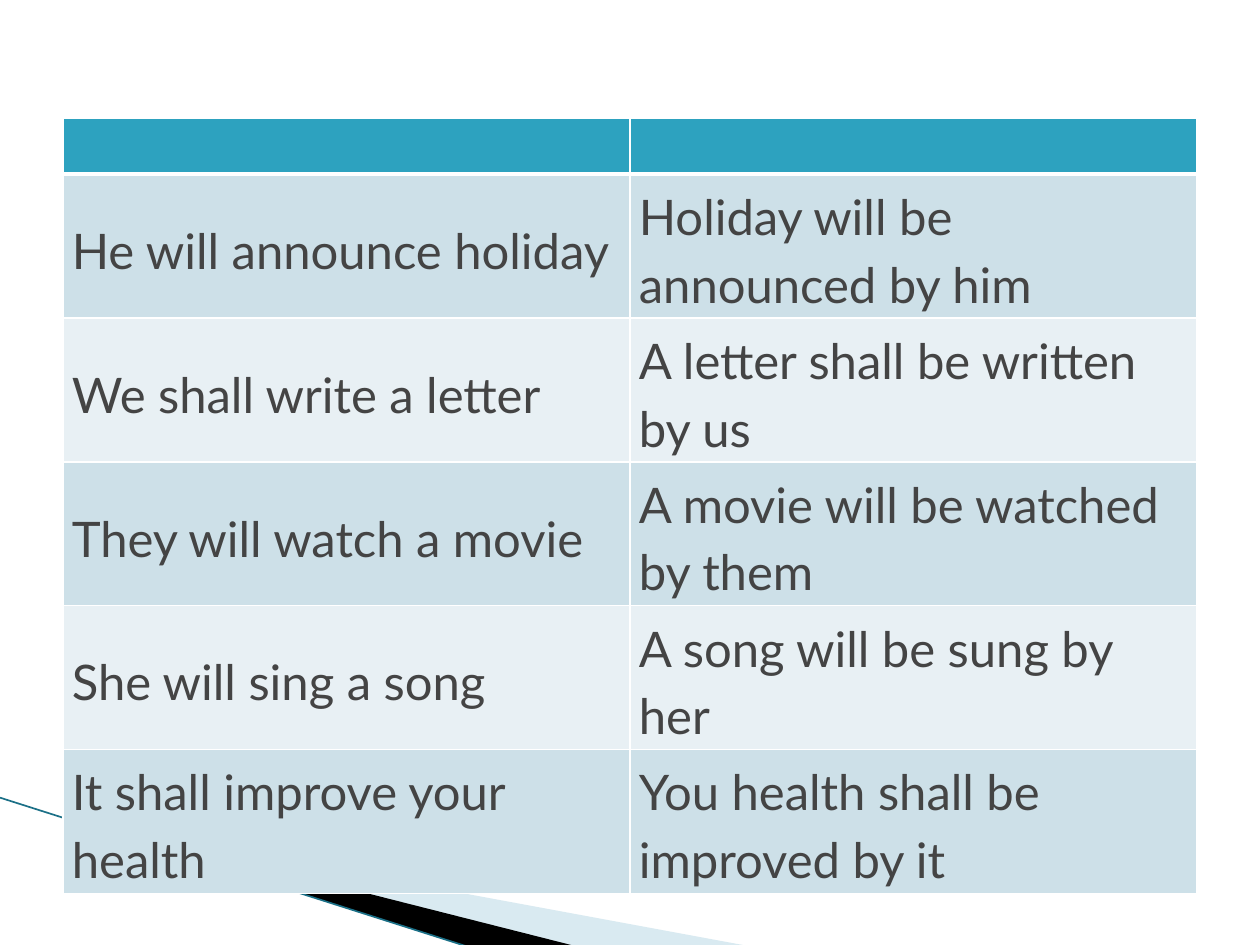
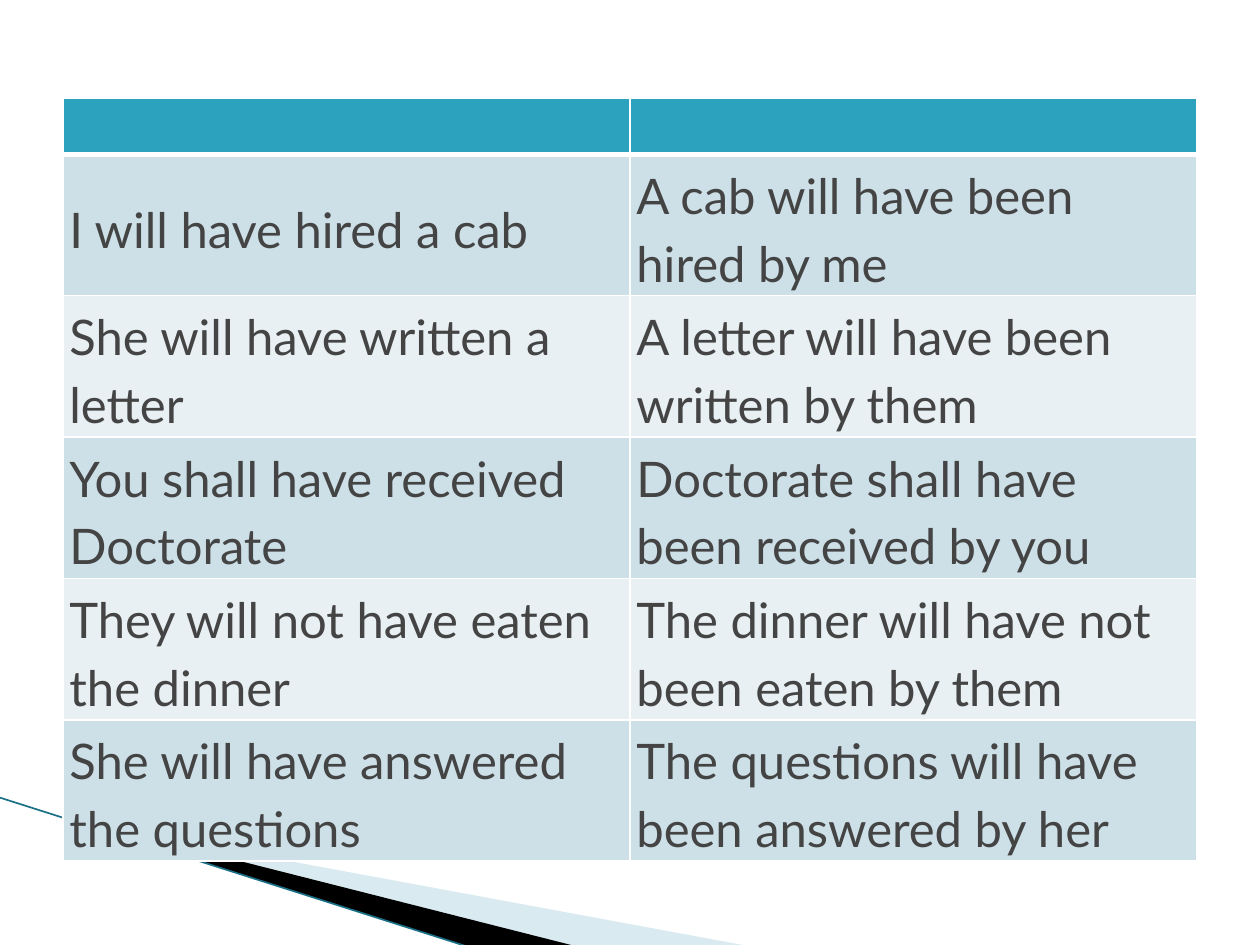
from dataclasses import dataclass

from lxml import etree
from pptx import Presentation
from pptx.dml.color import RGBColor
from pptx.enum import shapes, text
from pptx.oxml import ns
from pptx.util import Cm, Pt


@dataclass(frozen=True)
class Theme:
    font: str = "Lato"
    size: float = 28
    lead: float = 1.15
    ink: str = "444444"
    head: str = "2DA2BF"
    odd: str = "CDE0E8"
    even: str = "E8F0F4"
    rule: str = "FFFFFF"
    pale: str = "A0CBDC"
    dark: str = "000000"
    edge: str = "1B7087"
    thin: float = 1
    thick: float = 3


THEME = Theme()

FUTURE = [
    ("He will announce holiday", "Holiday will be announced by him"),
    ("We shall write a letter", "A letter shall be written by us"),
    ("They will watch a movie", "A movie will be watched by them"),
    ("She will sing a song", "A song will be sung by her"),
    ("It shall improve your health", "You health shall be improved by it"),
]
PERFECT = [
    ("I will have hired a cab", "A cab will have been hired by me"),
    ("She will have written a letter",
     "A letter will have been written by them"),
    ("You shall have received Doctorate",
     "Doctorate shall have been received by you"),
    ("They will not have eaten the dinner",
     "The dinner will have not been eaten by them"),
    ("She will have answered the questions",
     "The questions will have been answered by her"),
]


def paint(fill, color):
    fill.solid()
    fill.fore_color.rgb = RGBColor.from_string(color)


def sub(node, tag, **attrs):
    return etree.SubElement(node, ns.qn(tag), **attrs)


def set_frame(wedge, frame):
    left, top, wide, high = map(Cm, frame)
    route = wedge._element.find(".//" + ns.qn("a:path"))
    for spot in route.iter(ns.qn("a:pt")):
        spot.set("x", str(int(spot.get("x")) + wedge.left - left))
        spot.set("y", str(int(spot.get("y")) + wedge.top - top))
    route.set("w", str(wide))
    route.set("h", str(high))
    wedge.left, wedge.top, wedge.width, wedge.height = left, top, wide, high


def add_wedge(slide, points, frame, color, alpha=None):
    spots = [(Cm(x), Cm(y)) for x, y in points]
    pen = slide.shapes.build_freeform(*spots[0])
    pen.add_line_segments(spots[1:], close=True)
    wedge = pen.convert_to_shape()
    set_frame(wedge, frame)
    wedge.shadow.inherit = False
    wedge.line.fill.background()
    paint(wedge.fill, color)
    if alpha:
        tone = wedge.fill._xPr.find(".//" + ns.qn("a:srgbClr"))
        sub(tone, "a:alpha", val=str(alpha * 1000))


def add_line(slide, start, end, color, width):
    line = slide.shapes.add_connector(
        shapes.MSO_CONNECTOR.STRAIGHT, *map(Cm, start + end))
    line.line.color.rgb = RGBColor.from_string(color)
    line.line.width = Pt(width)
    sub(line._element.spPr, "a:effectLst")


def add_decor(slide):
    add_wedge(slide, [(1.4, 16.54), (15.13, 19.08), (11.6, 19.08),
                      (1.4, 16.51)], (1.98, 13.89, 10.57, 4.01),
              THEME.pale, 40)
    add_wedge(slide, [(1.37, 16.48), (11.63, 19.08), (9.48, 19.1),
                      (1.39, 16.51)], (-0.15, 16.08, 10.57, 2.34),
              THEME.dark)
    add_line(slide, (-0.03, 16.07), (9.45, 19.09), THEME.edge, 0.95)


def set_edges(cell, row):
    props = cell._tc.get_or_add_tcPr()
    heavy = {0: "B", 1: "T"}.get(row)
    for spot, side in enumerate("LRTB"):
        width = THEME.thick if side == heavy else THEME.thin
        edge = etree.Element(ns.qn("a:ln" + side), w=str(Pt(width)))
        sub(sub(edge, "a:solidFill"), "a:srgbClr", val=THEME.rule)
        props.insert(spot, edge)


def add_words(cell, words, inset):
    cell.margin_left = cell.margin_right = Cm(inset[0])
    cell.margin_top = cell.margin_bottom = Cm(inset[1])
    cell.vertical_anchor = text.MSO_ANCHOR.MIDDLE
    para = cell.text_frame.paragraphs[0]
    para.line_spacing = THEME.lead
    run = para.add_run()
    run.text = words
    run.font.name = THEME.font
    run.font.size = Pt(THEME.size)
    run.font.color.rgb = RGBColor.from_string(THEME.ink)


def add_grid(slide, pairs, top, high, inset):
    head, wide = 1.12, 11.43
    count = len(pairs)
    grid = slide.shapes.add_table(
        count + 1, 2, Cm(1.27), Cm(top), Cm(2 * wide),
        Cm(head + count * high)).table
    grid.horz_banding = False
    for col in grid.columns:
        col.width = Cm(wide)
    for row, line in enumerate(grid.rows):
        line.height = Cm(high if row else head)
        tone = (THEME.odd if row % 2 else THEME.even) if row else THEME.head
        for col, cell in enumerate(line.cells):
            paint(cell.fill, tone)
            set_edges(cell, row)
            if row:
                add_words(cell, pairs[row - 1][col], inset)


def main():
    deck = Presentation()
    deck.slide_width, deck.slide_height = Cm(25.4), Cm(19.05)
    for pairs, top, high, inset in (
        (FUTURE, 2.39, 2.9, (0.18, 0.08)),
        (PERFECT, 1.99, 2.85, (0.13, 0.05)),
    ):
        slide = deck.slides.add_slide(deck.slide_layouts[6])
        add_decor(slide)
        add_grid(slide, pairs, top, high, inset)
    deck.save("out.pptx")


main()
